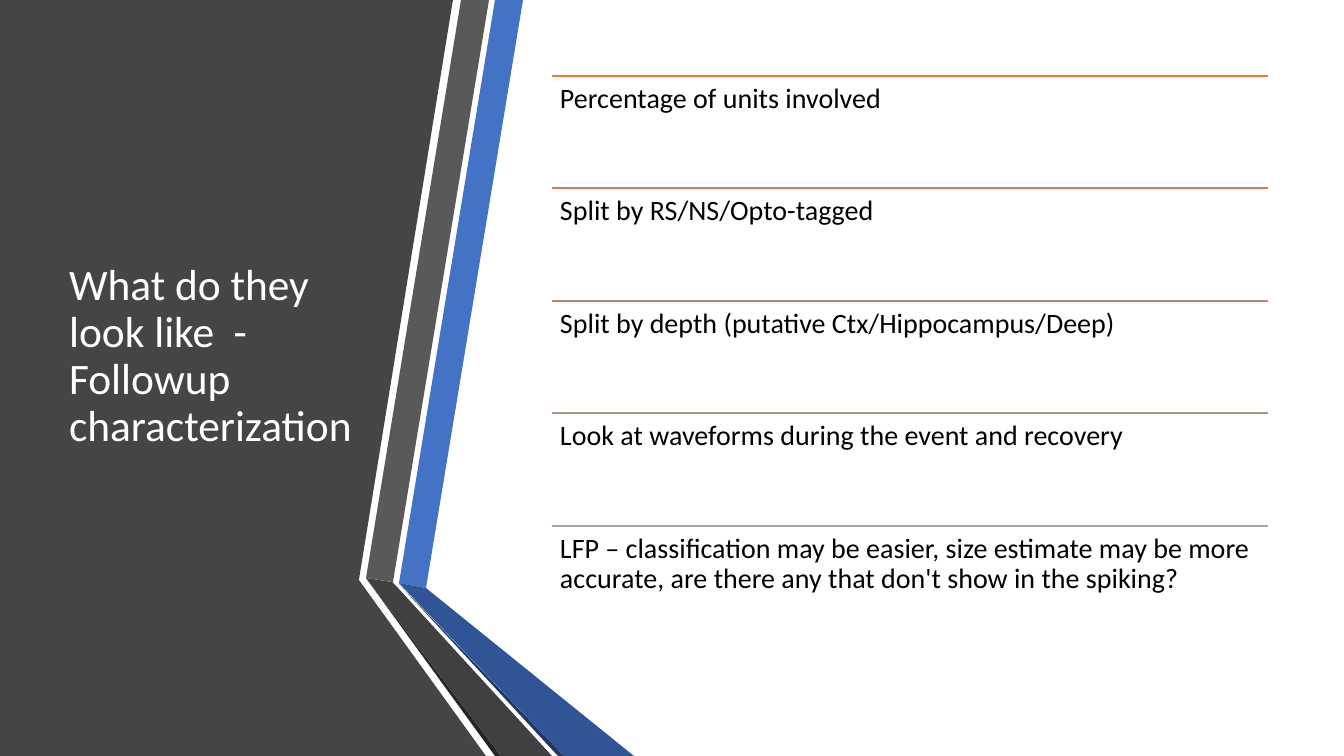
from dataclasses import dataclass

from lxml.etree import SubElement
from pptx import Presentation
from pptx.dml.color import RGBColor
from pptx.enum.shapes import MSO_CONNECTOR
from pptx.enum.text import MSO_ANCHOR, MSO_AUTO_SIZE, PP_ALIGN
from pptx.oxml.ns import qn
from pptx.util import Emu, Pt

EMU_PER_PX = 914400 / 100.8


@dataclass(frozen=True)
class Theme:
    font: str = "Calibri"
    title_size: int = 31
    item_size: int = 20
    rule_width: int = 1
    title_color: str = "FFFFFF"
    item_color: str = "000000"
    panel: str = "454545"
    blue: str = "4472C4"
    blue_fold: str = "2F5597"
    blue_edge: str = "203864"
    gray: str = "595959"
    gray_fold: str = "404040"
    gray_edge: str = "262626"


THEME = Theme()

PANEL_AND_RIBBONS = [
    (THEME.panel, [(0, 0), (453, 0), (359, 580), (486, 756), (0, 756)]),
    (THEME.blue, [(399, 583), (426, 588), (523, 0), (495, 0)]),
    (THEME.gray, [(489, 0), (461, 0), (366, 578), (393, 582)]),
    (THEME.gray_edge, [(366, 578), (495, 756), (501, 756)]),
    (THEME.blue_edge, [(399, 584), (558, 756), (564, 756)]),
    (THEME.blue_fold, [(399, 583), (564, 756), (634, 756), (426, 588)]),
    (THEME.gray_fold, [(366, 578), (501, 756), (552, 756), (398, 588), (392, 582)]),
]

TITLE = "What do they look like  - Followup characterization"
ITEMS = [
    ("ED7D31", "Percentage of units involved"),
    ("D87A51", "Split by RS/NS/Opto-tagged"),
    ("C48170", "Split by depth (putative Ctx/Hippocampus/Deep)"),
    ("B4908B", "Look at waveforms during the event and recovery"),
    ("A5A5A5", "LFP – classification may be easier, size estimate may be more "
               "accurate, are there any that don't show in the spiking?"),
]
LIST_LEFT, LIST_TOP, LIST_WIDTH, LIST_HEIGHT = 552, 76, 716, 563


def px(length):
    return Emu(round(length * EMU_PER_PX))


def add_polygon(page, points, color):
    builder = page.shapes.build_freeform(*points[0], scale=EMU_PER_PX)
    builder.add_line_segments(points[1:], close=True)
    polygon = builder.convert_to_shape()
    polygon.shadow.inherit = False
    polygon.fill.solid()
    polygon.fill.fore_color.rgb = RGBColor.from_string(color)
    polygon.line.fill.background()


def add_rule(page, left, top, width, color):
    rule = page.shapes.add_connector(
        MSO_CONNECTOR.STRAIGHT, px(left), px(top), px(left + width), px(top))
    rule.line.color.rgb = RGBColor.from_string(color)
    rule.line.width = Pt(THEME.rule_width)
    SubElement(rule._element.spPr, qn("a:effectLst"))


def write_text(box, text, *, size, color, anchor=MSO_ANCHOR.TOP, inset=None):
    frame = box.text_frame
    frame.word_wrap = True
    frame.auto_size = MSO_AUTO_SIZE.NONE
    frame.vertical_anchor = anchor
    if inset is not None:
        frame.margin_left = frame.margin_right = px(inset)
        frame.margin_top = frame.margin_bottom = px(inset)
    para = frame.paragraphs[0]
    para.alignment = PP_ALIGN.LEFT
    para.line_spacing = 0.9
    span = para.add_run()
    span.text = text
    span.font.name = THEME.font
    span.font.size = Pt(size)
    span.font.color.rgb = RGBColor.from_string(color)


def place_title(page):
    title = page.shapes.title
    title.left, title.top, title.width, title.height = map(px, (59, 76, 306, 562))
    write_text(title, TITLE, size=THEME.title_size, color=THEME.title_color,
               anchor=MSO_ANCHOR.MIDDLE)
    # Bring the title in front of the dark panel.
    title.element.getparent().append(title.element)


def add_ruled_list(page):
    row_height = LIST_HEIGHT // len(ITEMS)
    for index, (color, text) in enumerate(ITEMS):
        top = LIST_TOP + index * LIST_HEIGHT // len(ITEMS)
        add_rule(page, LIST_LEFT, top, LIST_WIDTH, color)
        box = page.shapes.add_textbox(
            px(LIST_LEFT), px(top), px(LIST_WIDTH), px(row_height))
        write_text(box, text, size=THEME.item_size, color=THEME.item_color, inset=8)


def main():
    deck = Presentation()
    deck.slide_width, deck.slide_height = px(1344), px(756)
    page = deck.slides.add_slide(deck.slide_layouts[5])
    for color, points in PANEL_AND_RIBBONS:
        add_polygon(page, points, color)
    place_title(page)
    add_ruled_list(page)
    deck.save("out.pptx")


if __name__ == "__main__":
    main()
